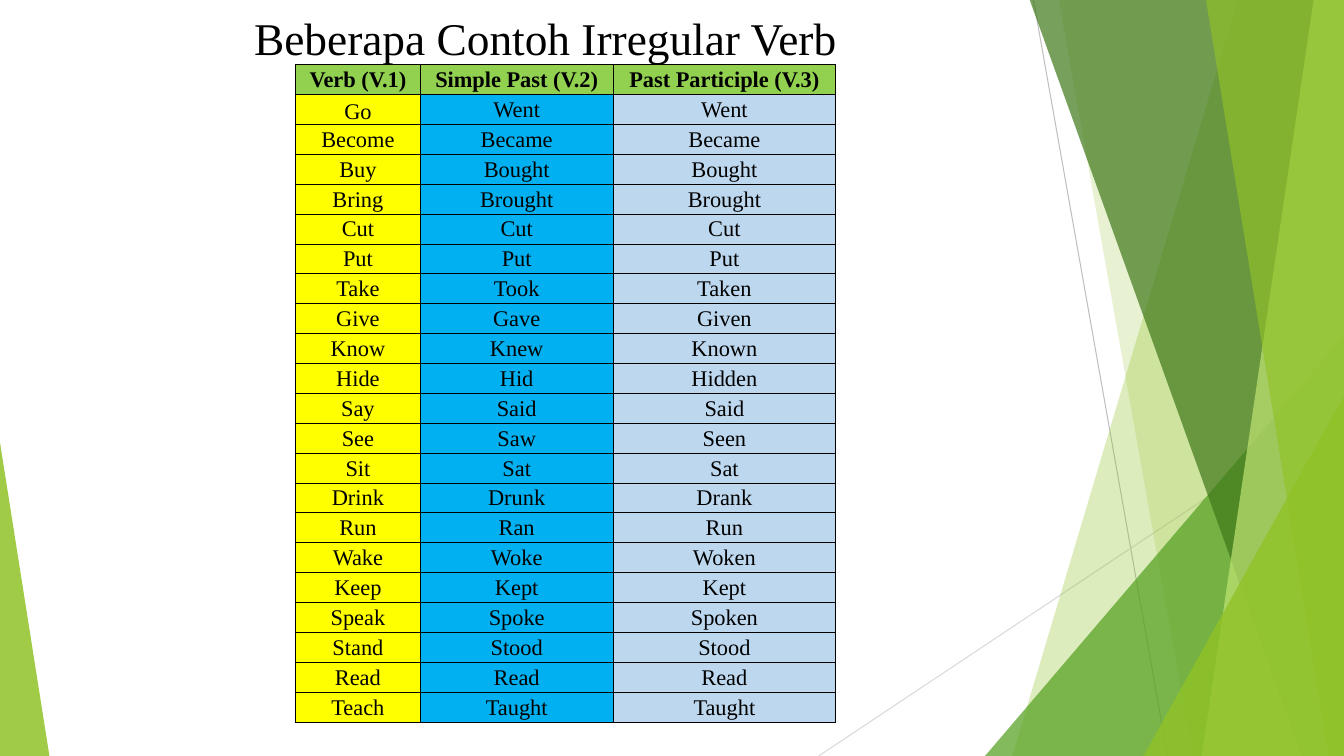
from lxml import etree
from pptx import Presentation
from pptx.dml.color import RGBColor
from pptx.enum.shapes import MSO_CONNECTOR, MSO_SHAPE
from pptx.enum.text import MSO_ANCHOR, PP_ALIGN
from pptx.oxml.ns import qn
from pptx.util import Inches, Pt

STRAIGHT = MSO_CONNECTOR.STRAIGHT
TRIANGLE = MSO_SHAPE.ISOSCELES_TRIANGLE
CENTER = PP_ALIGN.CENTER
TOP, BOTTOM = MSO_ANCHOR.TOP, MSO_ANCHOR.BOTTOM

SLIDE_W, SLIDE_H = 13.33, 7.5
FONT = "Times New Roman"
BLACK, LIME, HEADER_GREEN = "000000", "90C226", "92D050"
COLUMN_FILLS = ["FFFF00", "00B0F0", "BDD7EE"]
COLUMN_WIDTHS = [1.24, 1.91, 2.21]
TABLE_LEFT, TABLE_TOP, TABLE_HEIGHT = 2.93, 0.64, 6.4

HEADINGS = ["Verb (V.1)", "Simple Past (V.2)", "Past Participle (V.3)"]
VERBS = """Go Went Went
Become Became Became
Buy Bought Bought
Bring Brought Brought
Cut Cut Cut
Put Put Put
Take Took Taken
Give Gave Given
Know Knew Known
Hide Hid Hidden
Say Said Said
See Saw Seen
Sit Sat Sat
Drink Drunk Drank
Run Ran Run
Wake Woke Woken
Keep Kept Kept
Speak Spoke Spoken
Stand Stood Stood
Read Read Read
Teach Taught Taught"""


def rgb(color):
    """Turn a hex string into a colour."""
    return RGBColor.from_string(color)


def paint(facet, color, opacity):
    """Give a facet a see-through fill, no outline and no shadow."""
    facet.shadow.inherit = False
    facet.line.fill.background()
    facet.fill.solid()
    facet.fill.fore_color.rgb = rgb(color)
    tint = facet.fill._xPr.find(qn("a:solidFill"))[0]
    etree.SubElement(tint, qn("a:alpha"), val=str(opacity * 1000))


def add_band(slide, top_x, bottom_x, color, opacity):
    """Draw a full-height band from a slanted left edge to the right side."""
    builder = slide.shapes.build_freeform(Inches(top_x), Inches(-0.01))
    corners = [(SLIDE_W, -0.01), (SLIDE_W, SLIDE_H), (bottom_x, SLIDE_H)]
    builder.add_line_segments([(Inches(x), Inches(y)) for x, y in corners])
    paint(builder.convert_to_shape(), color, opacity)


def add_corner(slide, left, top, width, apex, color, opacity):
    """Draw a triangle that stands on the bottom edge."""
    corner = slide.shapes.add_shape(
        TRIANGLE, Inches(left), Inches(top), Inches(width), Inches(SLIDE_H - top))
    corner.adjustments[0] = apex
    paint(corner, color, opacity)


def add_ray(slide, start, end, color):
    """Draw a thin straight line."""
    ray = slide.shapes.add_connector(
        STRAIGHT, *[Inches(value) for value in (*start, *end)])
    ray.line.color.rgb = rgb(color)
    ray.line.width = Pt(0.75)
    etree.SubElement(ray._element.spPr, qn("a:effectLst"))


def write(frame, text, size, bold=False):
    """Set one centred black line of text."""
    frame.text = text
    line = frame.paragraphs[0]
    line.alignment = CENTER
    font = line.runs[0].font
    font.name, font.size, font.bold = FONT, Pt(size), bold
    font.color.rgb = rgb(BLACK)


def add_title(slide, text):
    """Place the title above the table."""
    title = slide.shapes.add_textbox(
        Inches(0.71), Inches(0), Inches(9.4), Inches(0.53))
    frame = title.text_frame
    frame.word_wrap = True
    frame.vertical_anchor = TOP
    frame.margin_top = Inches(0.1)
    frame.margin_bottom = 0
    write(frame, text, 32.4)


def add_borders(cell):
    """Frame a table cell with thin black lines."""
    properties = cell._tc.get_or_add_tcPr()
    for place, side in enumerate(("lnL", "lnR", "lnT", "lnB")):
        edge = etree.Element(qn(f"a:{side}"), w=str(Pt(0.5)))
        fill = etree.SubElement(edge, qn("a:solidFill"))
        etree.SubElement(fill, qn("a:srgbClr"), val=BLACK)
        properties.insert(place, edge)


def fill_cell(cell, text, color, is_heading):
    """Write and style one table cell."""
    write(cell.text_frame, text, 16, is_heading)
    cell.vertical_anchor = BOTTOM
    cell.margin_left = cell.margin_right = cell.margin_top = Inches(0.01)
    cell.margin_bottom = Inches(0 if text == "Go" else 0.02)
    cell.fill.solid()
    cell.fill.fore_color.rgb = rgb(color)
    add_borders(cell)


def add_verb_table(slide):
    """Build the table of verb forms."""
    rows = [HEADINGS] + [line.split() for line in VERBS.splitlines()]
    table = slide.shapes.add_table(
        len(rows), len(HEADINGS), Inches(TABLE_LEFT), Inches(TABLE_TOP),
        Inches(sum(COLUMN_WIDTHS)), Inches(TABLE_HEIGHT)).table
    for column, width in zip(table.columns, COLUMN_WIDTHS):
        column.width = Inches(width)
    for row_index, forms in enumerate(rows):
        is_heading = row_index == 0
        for column_index, form in enumerate(forms):
            color = HEADER_GREEN if is_heading else COLUMN_FILLS[column_index]
            fill_cell(table.cell(row_index, column_index), form, color, is_heading)


def add_backdrop(slide):
    """Draw the green facets and rays from back to front."""
    add_ray(slide, (10.25, 0), (11.58, SLIDE_H), "BFBFBF")
    add_ray(slide, (SLIDE_W, 4.03), (8.12, SLIDE_H), "D9D9D9")
    add_band(slide, 12.28, 10.04, LIME, 30)
    add_band(slide, 10.5, 11.83, LIME, 20)
    add_corner(slide, 9.77, 3.33, 3.56, 1, "54A021", 72)
    add_band(slide, 10.21, 12.91, "3F7819", 70)
    add_band(slide, 13.03, 11.92, "C0E474", 70)
    add_band(slide, 11.96, 13.18, LIME, 65)
    add_corner(slide, 11.34, 3.93, 1.99, 1, LIME, 80)
    add_corner(slide, 0, 4.39, 0.49, 0, LIME, 85)


def main():
    """Build and save the slide."""
    deck = Presentation()
    deck.slide_width, deck.slide_height = Inches(SLIDE_W), Inches(SLIDE_H)
    slide = deck.slides.add_slide(deck.slide_layouts[6])
    add_backdrop(slide)
    add_title(slide, "Beberapa Contoh Irregular Verb")
    add_verb_table(slide)
    deck.save("out.pptx")


main()
